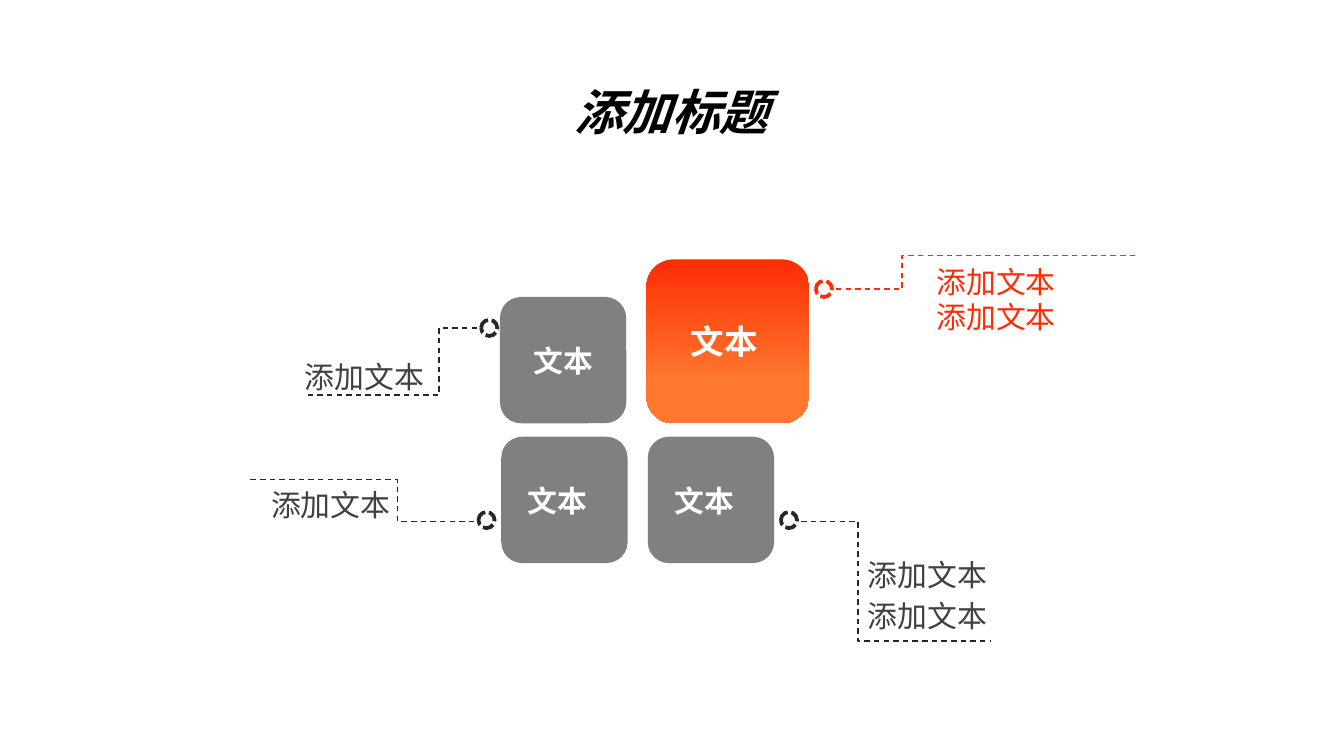
from lxml import etree
from pptx import Presentation
from pptx.dml.color import RGBColor
from pptx.enum import dml, shapes, text
from pptx.oxml.ns import qn
from pptx.util import Inches, Pt

RED, ORANGE, GRAY = "FE2C05", "FE782E", "808080"
DARK, BODY, WHITE, BLACK = "262626", "404040", "FFFFFF", "000000"
BODY_FONT, TITLE_FONT = "Noto Sans CJK SC", "Noto Sans CJK JP"
RING = 0.12


def rgb(value):
    return RGBColor.from_string(value)


def add_text(slide, box, words, size, color, font=BODY_FONT, bold=False,
             italic=False, align=text.PP_ALIGN.LEFT):
    frame = slide.shapes.add_textbox(*map(Inches, box)).text_frame
    frame.word_wrap = True
    frame.auto_size = text.MSO_AUTO_SIZE.SHAPE_TO_FIT_TEXT
    frame.text = words
    paragraph = frame.paragraphs[0]
    paragraph.alignment = align
    style = paragraph.runs[0].font
    style.size, style.bold, style.italic = Pt(size), bold, italic
    style.color.rgb = rgb(color)
    style.name = font
    # East Asian glyphs take their font from a separate element
    east_asian = etree.Element(qn("a:ea"), typeface=font)
    paragraph.runs[0]._r.rPr.find(qn("a:latin")).addnext(east_asian)


def add_tile(slide, box, label_box, size, highlighted=False):
    """Rounded tile; label_box is relative to the tile's corner."""
    left, top = box[:2]
    tile = slide.shapes.add_shape(shapes.MSO_SHAPE.ROUNDED_RECTANGLE, *map(Inches, box))
    tile.shadow.inherit = False
    tile.line.fill.background()
    if highlighted:
        tile.fill.gradient()
        tile.fill.gradient_angle = 270
        for stop, (position, color) in zip(tile.fill.gradient_stops,
                                           [(0, RED), (0.74, ORANGE)]):
            stop.position = position
            stop.color.rgb = rgb(color)
    else:
        tile.fill.solid()
        tile.fill.fore_color.rgb = rgb(GRAY)
    dx, dy, width, height = label_box
    add_text(slide, (left + dx, top + dy, width, height), "文本", size, WHITE, bold=True)


def style_line(line, color, width, dash):
    line.color.rgb = rgb(color)
    line.width = Pt(width)
    line.dash_style = dash


def add_callout(slide, ring_at, start, end, bend, color):
    """Dashed ring with an elbow leader; bend is the share of the run before the turn."""
    leader = slide.shapes.add_connector(shapes.MSO_CONNECTOR.ELBOW,
                                        *map(Inches, (*start, *end)))
    style_line(leader.line, color, 0.75, dml.MSO_LINE.DASH)
    properties = leader._element.spPr
    etree.SubElement(properties, qn("a:effectLst"))
    guides = properties.find(qn("a:prstGeom")).get_or_add_avLst()
    etree.SubElement(guides, qn("a:gd"), name="adj1", fmla=f"val {round(bend * 100000)}")

    ring = slide.shapes.add_shape(shapes.MSO_SHAPE.OVAL,
                                  *map(Inches, (*ring_at, RING, RING)))
    ring.shadow.inherit = False
    ring.fill.background()
    style_line(ring.line, color, 2, dml.MSO_LINE.SQUARE_DOT)


def add_captions(slide, left, top, count=1, step=0, color=BODY):
    for row in range(count):
        add_text(slide, (left, top + row * step, 1.24, 0.37), "添加文本", 16, color)


def build_tiles(slide):
    add_tile(slide, (4.81, 1.93, 1.21, 1.22), (0.23, 0.41, 0.85, 0.41), 18, True)
    add_tile(slide, (3.72, 2.21, 0.94, 0.94), (0.15, 0.29, 0.72, 0.38), 16)
    for left in (3.73, 4.82):
        add_tile(slide, (left, 3.25, 0.94, 0.94), (0.1, 0.29, 0.72, 0.37), 16)


def build_callouts(slide):
    callouts = [
        ((6.07, 2.09), (6.22, 2.15), (8.46, 1.9), 0.22, RED),
        ((5.81, 3.81), (5.96, 3.88), (7.37, 4.77), 0.3, DARK),
        ((3.56, 3.81), (3.53, 3.88), (1.85, 3.57), 0.34, DARK),
        ((3.58, 2.38), (3.55, 2.44), (2.26, 2.94), 0.22, DARK),
    ]
    for callout in callouts:
        add_callout(slide, *callout)
    add_captions(slide, 2.17, 2.62)
    add_captions(slide, 1.92, 3.57)
    add_captions(slide, 6.36, 4.09, count=2, step=0.31)
    add_captions(slide, 6.87, 1.91, count=2, step=0.26, color=RED)


def main():
    deck = Presentation()
    deck.slide_width = Inches(10)
    deck.slide_height = deck.slide_width * 9 // 16
    slide = deck.slides.add_slide(deck.slide_layouts[6])
    build_tiles(slide)
    build_callouts(slide)
    add_text(slide, (3.45, 0.56, 3.09, 0.54), "添加标题", 26, BLACK, TITLE_FONT,
             bold=True, italic=True, align=text.PP_ALIGN.CENTER)
    deck.save("out.pptx")


if __name__ == "__main__":
    main()
